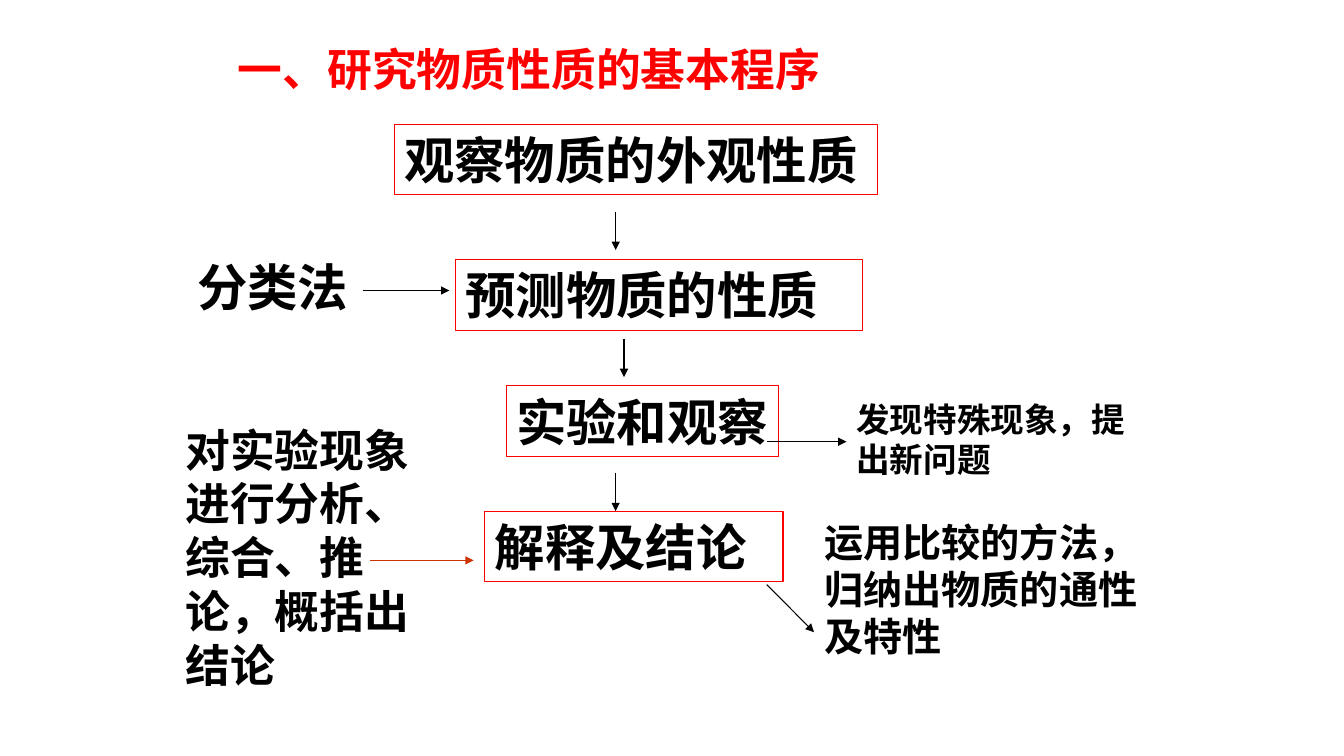
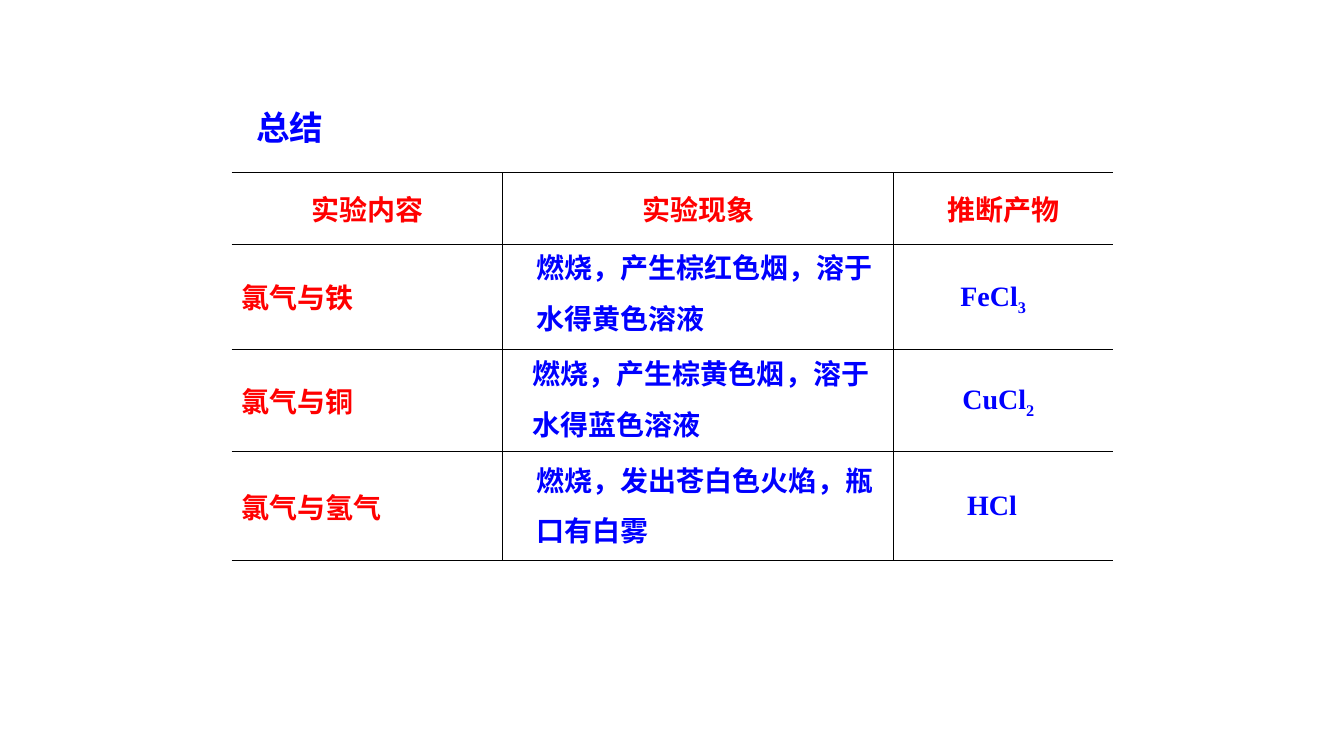
from lxml import etree
from pptx import Presentation
from pptx.dml.color import RGBColor
from pptx.enum import shapes, text
from pptx.oxml.ns import qn
from pptx.util import Cm, Pt

BLACK, RED, BLUE, RUST = "000000", "FF0000", "0000FF", "CC3300"
LATIN, CHINESE = "Times New Roman", "Noto Sans CJK SC"
TITLE_ONLY = 5

# Places are left, top, width, height in cm; arrows are x1, y1, x2, y2.
STEP_HEIGHT = 1.78
STEPS = [
    ("观察物质的外观性质", 9.94, 3.13, 12.19),
    ("预测物质的性质", 11.48, 6.54, 10.26),
    ("实验和观察", 12.76, 9.72, 6.87),
    ("解释及结论", 12.22, 12.88, 7.52),
]
# A \v is a line break: it keeps the text clear of the arrow beside it.
REMARKS = [
    ("分类法", 36, (4.72, 6.32, 5, 1.78)),
    ("对实验现象进行分析、综合、推\v论，概括出结论", 32, (4.42, 10.52, 6.5, 7.1)),
    ("发现特殊现象，提出新问题", 24, (21.34, 9.93, 7.39, 2.29)),
    ("运用比较的方法，归纳出物质的通性及特性", 28, (20.53, 12.93, 8.61, 3.81)),
]
ARROWS = [
    ((15.52, 5.33, 15.52, 6.3), BLACK),
    ((15.73, 8.53, 15.73, 9.5), BLACK),
    ((15.52, 11.91, 15.52, 12.88), BLACK),
    ((9.14, 7.32, 11.33, 7.32), BLACK),
    ((9.32, 14.12, 11.94, 14.12), RUST),
    ((19.33, 11.13, 21.34, 11.13), BLACK),
    ((19.33, 14.73, 20.52, 15.93), BLACK),
]

TABLE_PLACE = (5.84, 4.35)
COLUMN_WIDTHS = (6.83, 9.86, 5.52)
ROW_HEIGHTS = (1.8, 2.65, 2.57, 2.75)
HEADINGS = ["实验内容", "实验现象", "推断产物"]
EXPERIMENTS = ["氯气与铁", "氯气与铜", "氯气与氢气"]
PHENOMENA = [
    (["燃烧，产生棕红色烟，溶于", "水得黄色溶液"], (13.27, 5.77, 9.8, 2.79)),
    (["燃烧，产生棕黄色烟，溶于水得蓝色溶液"], (13.18, 8.44, 9.04, 2.79)),
    (["燃烧，发出苍白色火焰，瓶", "口有白雾"], (13.28, 11.13, 10.52, 2.79)),
]
PRODUCTS = [
    ("FeCl", "3", (23.96, 6.89, 3.61, 1.22)),
    ("CuCl", "2", (24.01, 9.48, 2.74, 1.22)),
    ("HCl", "", (24.13, 12.17, 2.06, 1.12)),
]


def rgb(colour):
    return RGBColor.from_string(colour)


def cm(values):
    return [Cm(value) for value in values]


def style(paragraph, size, colour, face=LATIN, align=text.PP_ALIGN.LEFT):
    paragraph.alignment = align
    font = paragraph.font
    font.size, font.bold, font.name = Pt(size), True, face
    font.color.rgb = rgb(colour)
    defaults = paragraph._p.pPr.find(qn("a:defRPr"))
    etree.SubElement(defaults, qn("a:ea"), typeface=CHINESE)


def write(shape, lines, size, colour, face=LATIN, spacing=None):
    """Fill a shape with top-left text, one paragraph per line."""
    frame = shape.text_frame
    frame.word_wrap = True
    frame.auto_size = text.MSO_AUTO_SIZE.NONE
    frame.vertical_anchor = text.MSO_ANCHOR.TOP
    frame.text = "\n".join(lines)
    for paragraph in frame.paragraphs:
        paragraph.line_spacing = spacing
        style(paragraph, size, colour, face)
    return frame


def titled_slide(deck, title, place, size, colour, face):
    slide = deck.slides.add_slide(deck.slide_layouts[TITLE_ONLY])
    heading = slide.shapes.title
    heading.left, heading.top, heading.width, heading.height = cm(place)
    write(heading, [title], size, colour, face)
    return slide


def add_step(slide, label, left, top, width):
    step = slide.shapes.add_shape(
        shapes.MSO_SHAPE.RECTANGLE, *cm((left, top, width, STEP_HEIGHT)))
    step.shadow.inherit = False
    step.fill.background()
    step.line.color.rgb = rgb(RED)
    step.line.width = Pt(0.75)
    write(step, [label], 36, BLACK)


def add_arrow(slide, ends, colour):
    arrow = slide.shapes.add_connector(shapes.MSO_CONNECTOR.STRAIGHT, *cm(ends))
    arrow.line.color.rgb = rgb(colour)
    arrow.line.width = Pt(0.75)
    etree.SubElement(arrow.line._get_or_add_ln(), qn("a:tailEnd"), type="triangle")
    etree.SubElement(arrow._element.spPr, qn("a:effectLst"))


def set_borders(cell, widths):
    """Draw left, right, top and bottom borders in points; 0 means no line."""
    properties = cell._tc.get_or_add_tcPr()
    for side, width in zip("LRTB", widths):
        line = etree.SubElement(properties, qn(f"a:ln{side}"), w=str(Pt(width)))
        if width:
            fill = etree.SubElement(line, qn("a:solidFill"))
            etree.SubElement(fill, qn("a:srgbClr"), val=BLACK)
        else:
            etree.SubElement(line, qn("a:noFill"))


def add_summary_table(slide):
    rows, columns = len(ROW_HEIGHTS), len(COLUMN_WIDTHS)
    size = (sum(COLUMN_WIDTHS), sum(ROW_HEIGHTS))
    table = slide.shapes.add_table(rows, columns, *cm(TABLE_PLACE + size)).table
    table.first_row = table.horz_banding = False
    for column, width in zip(table.columns, COLUMN_WIDTHS):
        column.width = Cm(width)
    for row, height in zip(table.rows, ROW_HEIGHTS):
        row.height = Cm(height)
    for r in range(rows):
        for c in range(columns):
            cell = table.cell(r, c)
            set_borders(cell, (0.45 if c else 0, 0.45 if c < columns - 1 else 0,
                               0.45, 0.45 if r < rows - 1 else 1.08))
            cell.fill.background()
            cell.vertical_anchor = text.MSO_ANCHOR.MIDDLE
    labels = [(0, c, label, text.PP_ALIGN.CENTER) for c, label in enumerate(HEADINGS)]
    labels += [(r, 0, label, text.PP_ALIGN.JUSTIFY)
               for r, label in enumerate(EXPERIMENTS, 1)]
    for r, c, label, align in labels:
        cell = table.cell(r, c)
        cell.text = label
        style(cell.text_frame.paragraphs[0], 20, RED, CHINESE, align)


def build_procedure(deck):
    slide = titled_slide(deck, "一、研究物质性质的基本程序",
                         (5.74, 0.92, 16.21, 1.75), 32, RED, CHINESE)
    for step in STEPS:
        add_step(slide, *step)
    for remark, size, place in REMARKS:
        write(slide.shapes.add_textbox(*cm(place)), [remark], size, BLACK)
    for ends, colour in ARROWS:
        add_arrow(slide, ends, colour)


def build_summary(deck):
    slide = titled_slide(deck, "总结", (6.2, 2.57, 10.29, 1.27), 24, BLUE, "Arial")
    add_summary_table(slide)
    for lines, place in PHENOMENA:
        write(slide.shapes.add_textbox(*cm(place)), lines, 20, BLUE, spacing=1.5)
    for formula, count, place in PRODUCTS:
        frame = write(slide.shapes.add_textbox(*cm(place)), [formula], 20, BLUE)
        if count:
            subscript = frame.paragraphs[0].add_run()
            subscript.text = count
            subscript._r.get_or_add_rPr().set("baseline", "-25000")


def main():
    deck = Presentation()
    deck.slide_width, deck.slide_height = cm((33.88, 19.05))
    build_procedure(deck)
    build_summary(deck)
    deck.save("out.pptx")


if __name__ == "__main__":
    main()
